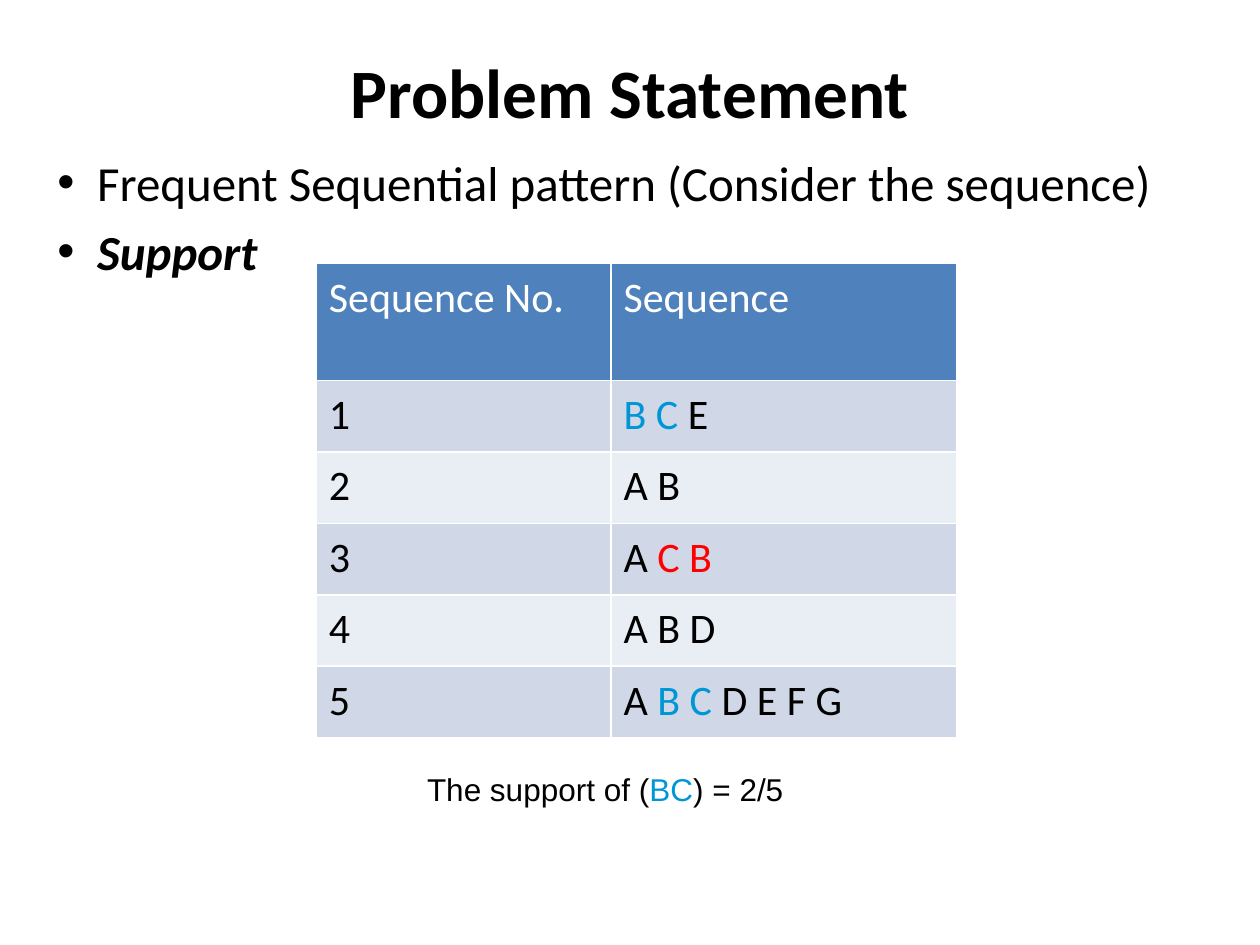
import pptx
import pptx.util
import pptx.dml.color
import pptx.enum.text
import pptx.oxml
import pptx.oxml.ns

Cm, Pt = pptx.util.Cm, pptx.util.Pt
ANCHOR = pptx.enum.text.MSO_ANCHOR
COLORS = {"black": "000000", "white": "FFFFFF", "blue": "0096D6", "red": "FF0000",
          "header": "4F81BD", "odd": "D0D8E8", "even": "E9EDF4"}
NS = pptx.oxml.ns.nsdecls("a")


def rgb(name):
    return pptx.dml.color.RGBColor.from_string(COLORS[name])


def write(p, runs, font, size):
    p.font.name, p.font.size = font, Pt(size)
    for text, color in runs:
        r = p.add_run()
        r.text = text
        r.font.color.rgb = rgb(color)


prs = pptx.Presentation()
prs.slide_width, prs.slide_height = Cm(25.4), Cm(19.05)
s = prs.slides.add_slide(prs.slide_layouts[6])

title = s.shapes.add_textbox(Cm(0.91), Cm(1.24), Cm(23.57), Cm(1.2))
tf = title.text_frame
tf.word_wrap = True
tf.vertical_anchor = ANCHOR.MIDDLE
p = tf.paragraphs[0]
p.alignment = pptx.enum.text.PP_ALIGN.CENTER
p.font.bold = True
write(p, [("Problem Statement", "black")], "Calibri", 39.6)

body = s.shapes.add_textbox(Cm(0.91), Cm(2.95), Cm(23.57), Cm(12.85))
tf = body.text_frame
tf.word_wrap = True
bullets = ["Frequent Sequential pattern (Consider the sequence)", "Support"]
for i, text in enumerate(bullets):
    p = tf.add_paragraph() if i else tf.paragraphs[0]
    p.space_before = Pt(5.6)
    write(p, [(text, "black")], "Calibri", 28)
    pPr = p._p.get_or_add_pPr()
    pPr.set("marL", str(Cm(0.8)))
    pPr.set("indent", str(-Cm(0.8)))
    for xml in (f'<a:buFont {NS} typeface="Arial"/>', f'<a:buChar {NS} char="•"/>'):
        pPr.insert_element_before(pptx.oxml.parse_xml(xml), "a:tabLst", "a:defRPr", "a:extLst")
support = tf.paragraphs[1].runs[0]
support.font.bold = support.font.italic = True

rows = [
    [[("Sequence No.", "white")], [("Sequence", "white")]],
    [[("1", "black")], [("B C", "blue"), (" E", "black")]],
    [[("2", "black")], [("A B", "black")]],
    [[("3", "black")], [("A ", "black"), ("C B", "red")]],
    [[("4", "black")], [("A B D", "black")]],
    [[("5", "black")], [("A ", "black"), ("B C", "blue"), (" D E F G", "black")]],
]
table = s.shapes.add_table(len(rows), 2, Cm(6.38), Cm(5.31), Cm(12.9), Cm(9.55)).table
table.first_row = table.horz_banding = False
table.columns[0].width, table.columns[1].width = Cm(5.94), Cm(6.96)
for i, row in enumerate(rows):
    table.rows[i].height = Cm(1.44 if i else 2.36)
    fill = ("odd" if i % 2 else "even") if i else "header"
    for j, runs in enumerate(row):
        cell = table.cell(i, j)
        cell.margin_left = cell.margin_right = Cm(0.25)
        cell.margin_top = cell.margin_bottom = Cm(0.18)
        write(cell.text_frame.paragraphs[0], runs, "Calibri", 24)
        tcPr = cell._tc.get_or_add_tcPr()
        for side in ("lnL", "lnR", "lnT", "lnB"):
            tcPr.append(pptx.oxml.parse_xml(
                f'<a:{side} {NS} w="{Pt(1)}"><a:solidFill>'
                f'<a:srgbClr val="{COLORS["white"]}"/></a:solidFill></a:{side}>'))
        cell.fill.solid()
        cell.fill.fore_color.rgb = rgb(fill)

caption = s.shapes.add_textbox(Cm(8.36), Cm(15.39), Cm(8.69), Cm(1.8))
tf = caption.text_frame
tf.word_wrap = True
write(tf.paragraphs[0],
      [("The support of (", "black"), ("BC", "blue"), (") = 2/5", "black")], "Arial", 18)

prs.save("out.pptx")
